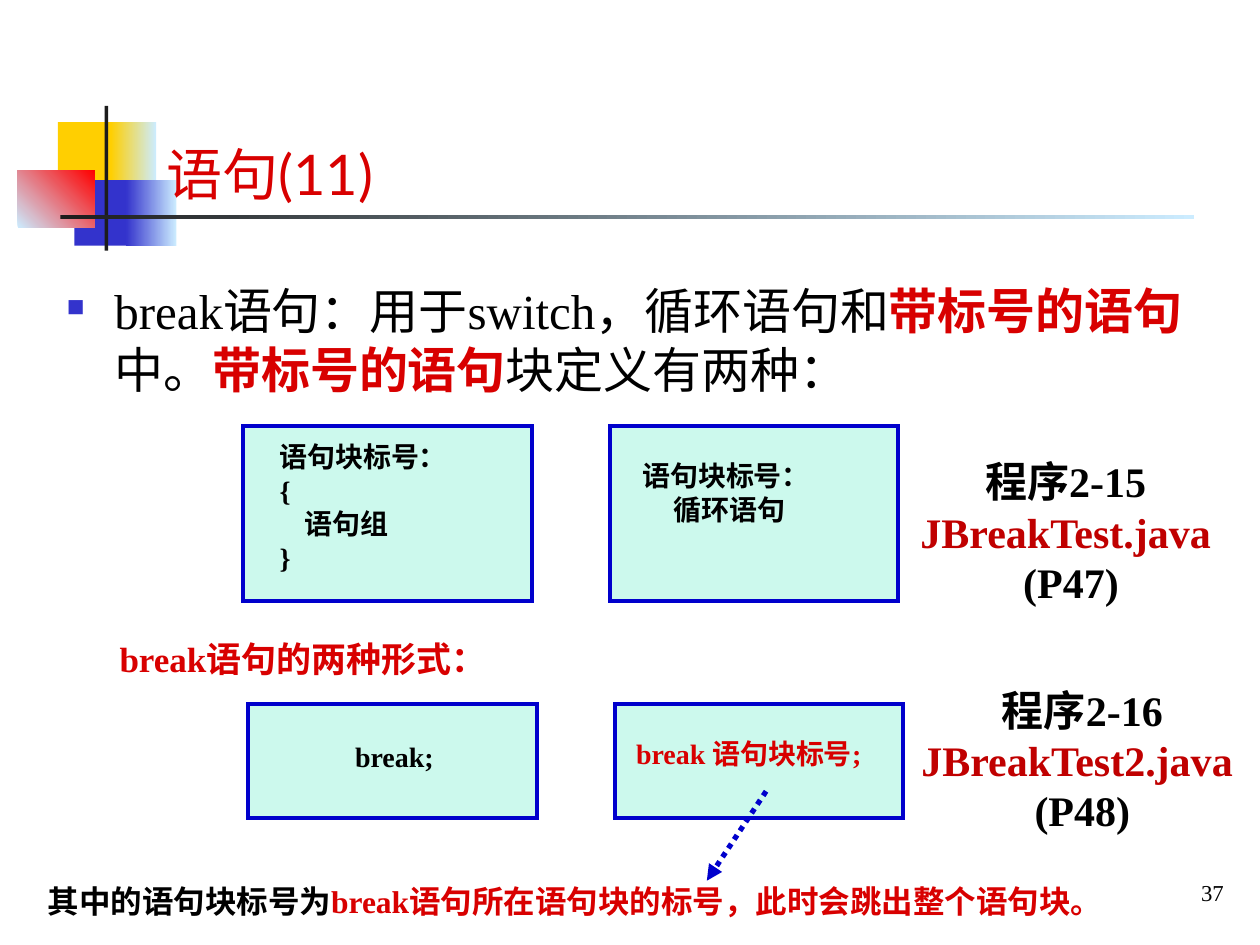
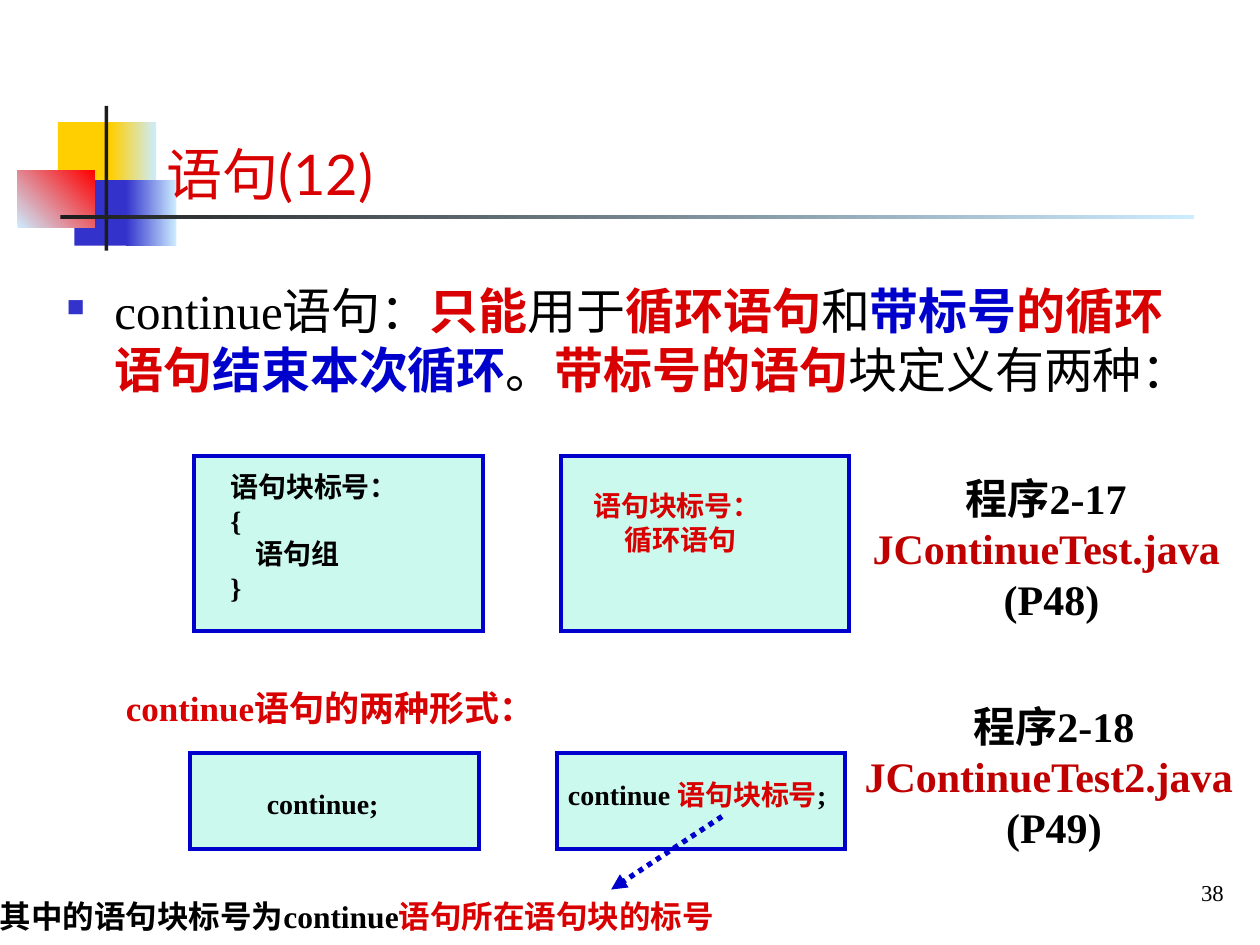
from dataclasses import dataclass
from typing import NamedTuple

from lxml.etree import SubElement
from pptx import Presentation
from pptx.dml.color import RGBColor
from pptx.enum.dml import MSO_LINE
from pptx.enum.lang import MSO_LANGUAGE_ID
from pptx.enum.shapes import MSO_CONNECTOR, MSO_SHAPE
from pptx.enum.text import MSO_ANCHOR, MSO_AUTO_SIZE, PP_ALIGN
from pptx.oxml.ns import qn
from pptx.util import Emu, Pt

PX = 9144  # 100 px to the inch

BLACK = RGBColor(0x00, 0x00, 0x00)
RED = RGBColor(0xD8, 0x00, 0x00)
BLUE = RGBColor(0x00, 0x00, 0xCC)
BRICK = RGBColor(0xC0, 0x00, 0x00)
MINT = RGBColor(0x00, 0xE4, 0xA8)
GOLD = RGBColor(0xFF, 0xCF, 0x01)
INDIGO = RGBColor(0x33, 0x33, 0xCC)
SCARLET = RGBColor(0xFF, 0x00, 0x00)
SKY = RGBColor(0xCC, 0xEC, 0xFF)
COAL = RGBColor(0x1C, 0x1C, 0x1C)

SERIF = "Times New Roman"
SANS = "Lato"
BOX_WIDE = 229
BOX_STEP = 291


class Area(NamedTuple):
    left: int
    top: int
    width: int
    height: int


class Bit(NamedTuple):
    text: str
    hue: RGBColor = BLACK


class Line(NamedTuple):
    bits: list[Bit]
    indent: int = 0


class Patch(NamedTuple):
    area: Area
    start: RGBColor
    end: RGBColor | None = None
    angle: int = 0


class Note(NamedTuple):
    area: Area
    size: int
    lines: list[Line]
    align: PP_ALIGN = PP_ALIGN.LEFT


class Row(NamedTuple):
    """A pair of equal boxes."""
    left: int
    top: int
    height: int


class Arrow(NamedTuple):
    x1: int
    y1: int
    x2: int
    y2: int


@dataclass
class Page:
    title: str
    number: str
    body: list[Bit]
    blocks: Row
    loop_hue: RGBColor
    forms: Row
    notes: list[Note]
    arrow: Arrow


DECOR = [
    Patch(Area(46, 97, 48, 52), GOLD),
    Patch(Area(88, 97, 36, 52), GOLD, SKY),
    Patch(Area(59, 143, 46, 52), INDIGO),
    Patch(Area(100, 143, 40, 52), INDIGO, SKY),
    Patch(Area(14, 135, 61, 46), SKY, SCARLET, 45),
    Patch(Area(83, 84, 3, 115), COAL),
    Patch(Area(48, 171, 900, 3), COAL, SKY),
]


def scale(nums) -> list[Emu]:
    return [Emu(num * PX) for num in nums]


def plain(text: str, hue: RGBColor = BLACK) -> list[Line]:
    return [Line([Bit(text, hue)])]


def program(area: Area, head: str, name: str, leaf: str) -> Note:
    """Reference to a sample program: number, file and book page."""
    lines = plain(head) + plain(name, BRICK) + plain(leaf)
    return Note(area, 24, lines, PP_ALIGN.CENTER)


def add_bit(para, bit: Bit, size: int, bold: bool, face: str = SERIF) -> None:
    run = para.add_run()
    run.text = bit.text
    font = run.font
    font.name, font.size, font.bold = face, Pt(size), bold
    font.color.rgb = bit.hue
    font.language_id = MSO_LANGUAGE_ID.SIMPLIFIED_CHINESE


def add_rect(slide, area: Area):
    rect = slide.shapes.add_shape(MSO_SHAPE.RECTANGLE, *scale(area))
    rect.shadow.inherit = False
    return rect


def add_patch(slide, patch: Patch) -> None:
    rect = add_rect(slide, patch.area)
    rect.line.fill.background()
    if patch.end is None:
        rect.fill.solid()
        rect.fill.fore_color.rgb = patch.start
        return
    rect.fill.gradient()
    rect.fill.gradient_angle = patch.angle
    for stop, hue in zip(rect.fill.gradient_stops, (patch.start, patch.end)):
        stop.color.rgb = hue


def add_row(slide, row: Row) -> None:
    for left in (row.left, row.left + BOX_STEP):
        rect = add_rect(slide, Area(left, row.top, BOX_WIDE, row.height))
        rect.fill.solid()
        rect.fill.fore_color.rgb = MINT
        tint = rect._element.spPr.find(qn("a:solidFill")).find(qn("a:srgbClr"))
        SubElement(tint, qn("a:alpha"), val="20000")
        rect.line.color.rgb = BLUE
        rect.line.width = Pt(2.25)
        SubElement(rect.line._get_or_add_ln(), qn("a:miter"), lim="800000")


def add_note(slide, note: Note) -> None:
    frame = slide.shapes.add_textbox(*scale(note.area)).text_frame
    frame.word_wrap = True
    frame.auto_size = MSO_AUTO_SIZE.NONE
    for spot, line in enumerate(note.lines):
        para = frame.add_paragraph() if spot else frame.paragraphs[0]
        para.alignment = note.align
        if line.indent:
            para._p.get_or_add_pPr().set("marL", str(line.indent * PX))
        for bit in line.bits:
            add_bit(para, bit, note.size, True)


def add_title(slide, text: str) -> None:
    title = slide.shapes.title
    title.left, title.top, title.width, title.height = scale((122, 60, 842, 109))
    title._element.getparent().append(title._element)  # in front of the patches
    frame = title.text_frame
    frame.vertical_anchor = MSO_ANCHOR.BOTTOM
    frame.auto_size = MSO_AUTO_SIZE.NONE
    para = frame.paragraphs[0]
    para.alignment = PP_ALIGN.LEFT
    add_bit(para, Bit(text, RED), 32, False, SANS)


def add_body(slide, bits: list[Bit]) -> None:
    frame = slide.shapes.add_textbox(*scale((43, 218, 913, 488))).text_frame
    frame.word_wrap = True
    para = frame.paragraphs[0]
    para.space_before = Pt(7)
    props = para._p.get_or_add_pPr()
    props.set("marL", str(38 * PX))
    props.set("indent", str(-38 * PX))
    tint = SubElement(props, qn("a:buClr"))
    SubElement(tint, qn("a:srgbClr"), val=str(INDIGO))
    SubElement(props, qn("a:buSzPct"), val="50000")
    SubElement(props, qn("a:buChar"), char="■")
    for bit in bits:
        add_bit(para, bit, 28, bit.hue != BLACK)


def add_number(slide, text: str) -> None:
    frame = slide.shapes.add_textbox(*scale((790, 690, 191, 37))).text_frame
    frame.word_wrap = True
    frame.vertical_anchor = MSO_ANCHOR.MIDDLE
    para = frame.paragraphs[0]
    para.alignment = PP_ALIGN.RIGHT
    add_bit(para, Bit(text), 13, False)


def add_arrow(slide, arrow: Arrow) -> None:
    link = slide.shapes.add_connector(MSO_CONNECTOR.STRAIGHT, *scale(arrow))
    link.line.color.rgb = BLUE
    link.line.width = Pt(3)
    link.line.dash_style = MSO_LINE.ROUND_DOT
    SubElement(link.line._get_or_add_ln(), qn("a:tailEnd"), type="triangle")
    SubElement(link._element.spPr, qn("a:effectLst"))


def add_blocks(slide, row: Row, hue: RGBColor) -> None:
    """The two ways to define a labelled block."""
    add_row(slide, row)
    label = "语句块标号："
    group = plain(label) + plain("{") + [Line([Bit("语句组")], 20)] + plain("}")
    loop = plain(label, hue) + [Line([Bit("循环语句", hue)], 25)]
    left, top = row.left, row.top
    add_note(slide, Note(Area(left + 19, top + 6, 165, 117), 16, group))
    add_note(slide, Note(Area(left + BOX_STEP + 16, top + 21, 165, 64), 16, loop))


def add_page(deck, page: Page) -> None:
    slide = deck.slides.add_slide(deck.slide_layouts[5])
    for patch in DECOR:
        add_patch(slide, patch)
    add_number(slide, page.number)
    add_title(slide, page.title)
    add_body(slide, page.body)
    add_blocks(slide, page.blocks, page.loop_hue)
    add_row(slide, page.forms)
    for note in page.notes:
        add_note(slide, note)
    add_arrow(slide, page.arrow)


PAGES = [
    Page(
        title="语句(11)",
        number="37",
        body=[Bit("break语句：用于switch，循环语句和"), Bit("带标号的语句", RED),
              Bit("中。"), Bit("带标号的语句", RED), Bit("块定义有两种：")],
        blocks=Row(193, 338, 139),
        loop_hue=BLACK,
        forms=Row(197, 559, 90),
        notes=[
            Note(Area(85, 501, 335, 44), 20, plain("break语句的两种形式：", RED)),
            Note(Area(272, 582, 95, 37), 16, plain("break;")),
            Note(Area(495, 580, 222, 37), 16, plain("break 语句块标号;", RED)),
            Note(Area(28, 695, 890, 40), 18, [Line([
                Bit("其中的语句块标号为"),
                Bit("break语句所在语句块的标号，此时会跳出整个语句块。", RED)])]),
            program(Area(717, 357, 266, 130), "程序2-15 ", "JBreakTest.java ", "(P47)"),
            program(Area(718, 538, 282, 130), "程序2-16", "JBreakTest2.java ", "(P48)"),
        ],
        arrow=Arrow(608, 628, 561, 699),
    ),
    Page(
        title="语句(12)",
        number="38",
        body=[Bit("continue语句："), Bit("只能", RED), Bit("用于"),
              Bit("循环语句", RED), Bit("和"), Bit("带标号", BLUE),
              Bit("的循环语句", RED), Bit("结束本次循环", BLUE), Bit("。"),
              Bit("带标号的语句", RED), Bit("块定义有两种：")],
        blocks=Row(154, 362, 139),
        loop_hue=RED,
        forms=Row(151, 598, 76),
        notes=[
            Note(Area(90, 540, 367, 44), 20, plain("continue语句的两种形式：", RED)),
            Note(Area(202, 619, 120, 37), 16, plain("continue;")),
            Note(Area(441, 612, 247, 37), 16, [Line([
                Bit("continue "), Bit("语句块标号", RED), Bit(";")])]),
            Note(Area(-10, 707, 625, 40), 18, [Line([
                Bit("其中的语句块标号为continue"), Bit("语句所在语句块的标号", RED)])]),
            program(Area(679, 370, 311, 130), "程序2-17 ", "JContinueTest.java ", "(P48)"),
            program(Area(673, 551, 327, 130), "程序2-18", "JContinueTest2.java ", "(P49)"),
        ],
        arrow=Arrow(573, 648, 485, 706),
    ),
]


def main() -> None:
    deck = Presentation()
    deck.slide_width, deck.slide_height = scale((1000, 750))
    for page in PAGES:
        add_page(deck, page)
    deck.save("out.pptx")


if __name__ == "__main__":
    main()
